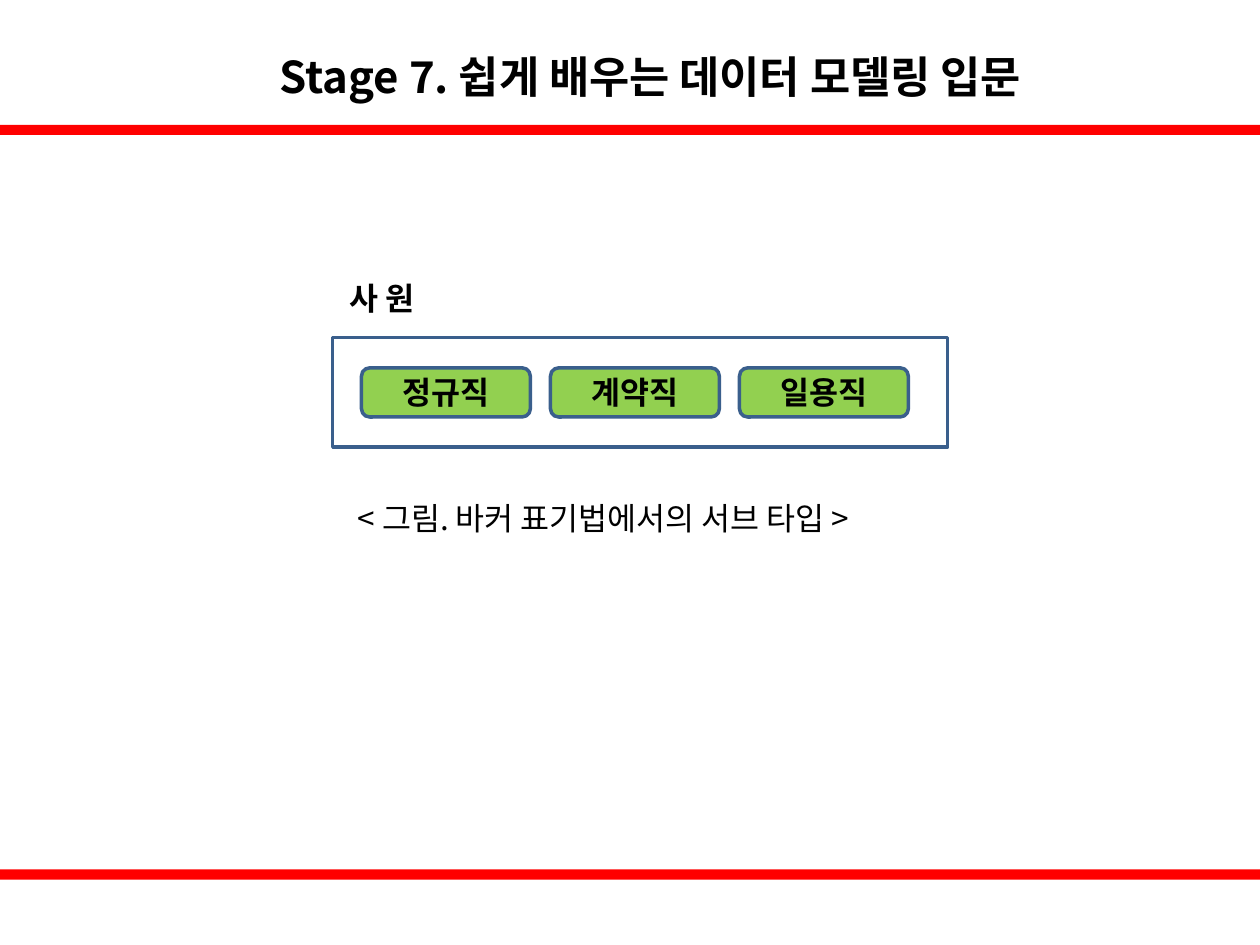
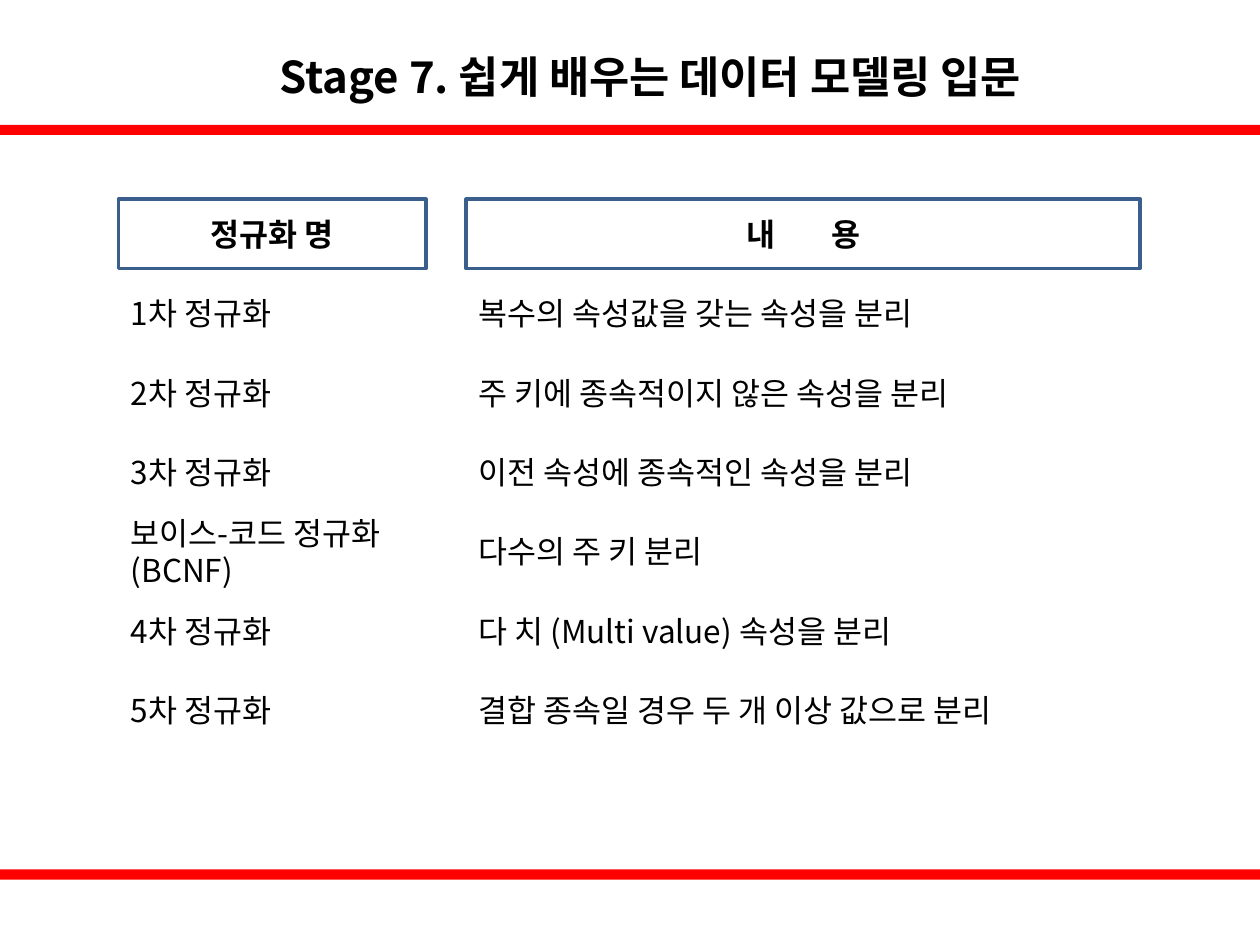
from dataclasses import dataclass
from typing import NamedTuple, Optional

from lxml import etree
from pptx import Presentation
from pptx.dml.color import RGBColor
from pptx.enum import shapes, text
from pptx.oxml.ns import qn
from pptx.util import Pt


@dataclass(frozen=True)
class Theme:
    font: str = "Noto Sans CJK KR"
    ink: RGBColor = RGBColor(0x00, 0x00, 0x00)
    band: RGBColor = RGBColor(0xFF, 0x00, 0x00)
    outline: RGBColor = RGBColor(0x3A, 0x5F, 0x8C)
    subtype: RGBColor = RGBColor(0x92, 0xD0, 0x50)
    title_size: float = 25
    body_size: float = 18
    outline_width: float = 2


class Box(NamedTuple):
    """A place on the slide, in points."""
    left: float
    top: float
    width: float
    height: float

    def lengths(self) -> tuple:
        return tuple(Pt(value) for value in self)


class Column(NamedTuple):
    left: float
    width: float
    heading: str
    letter_spacing: float
    entries: tuple


THEME = Theme()
SLIDE_WIDTH, SLIDE_HEIGHT = 720, 540
TITLE = "Stage 7. 쉽게 배우는 데이터 모델링 입문"
TITLE_BOX = Box(99.4, 0, 544.3, 71.3)
BANDS = tuple(Box(0, top, SLIDE_WIDTH, 5.8) for top in (71.3, 496.8))

ENTITY_BOX = Box(190.1, 193, 351.4, 62.6)
SUBTYPES = ("정규직", "계약직", "일용직")
FIRST_SUBTYPE = Box(206.6, 210.2, 96.5, 28.1)
SUBTYPE_PITCH = 108

TABLE_TOP, ROW_HEIGHT, ROW_PITCH = 113.8, 39.6, 45.36
COLUMNS = (
    Column(67.7, 175.7, "정규화 명", 0, (
        "1차 정규화",
        "2차 정규화",
        "3차 정규화",
        "보이스-코드 정규화\n(BCNF)",
        "4차 정규화",
        "5차 정규화",
    )),
    Column(266.4, 385.2, "내 용", 14, (
        "복수의 속성값을 갖는 속성을 분리",
        "주 키에 종속적이지 않은 속성을 분리",
        "이전 속성에 종속적인 속성을 분리",
        "다수의 주 키 분리",
        "다 치 (Multi value) 속성을 분리",
        "결합 종속일 경우 두 개 이상 값으로 분리",
    )),
)


def add_run(paragraph, content: str, size: float, bold: bool,
            letter_spacing: float = 0) -> None:
    run = paragraph.add_run()
    run.text = content
    font = run.font
    font.name, font.size, font.bold = THEME.font, Pt(size), bold
    font.color.rgb = THEME.ink
    properties = run._r.get_or_add_rPr()
    etree.SubElement(properties, qn("a:ea"), typeface=THEME.font)
    if letter_spacing:
        properties.set("spc", str(round(letter_spacing * 100)))


def write_text(shape, content: str, *, size: float = THEME.body_size,
               bold: bool = False, centered: bool = False,
               line_spacing: Optional[float] = None, wrap: bool = True,
               anchor=text.MSO_ANCHOR.MIDDLE, letter_spacing: float = 0) -> None:
    """Fill a shape with one paragraph a line; spacing leaves out the last letter."""
    frame = shape.text_frame
    frame.word_wrap = wrap
    frame.vertical_anchor = anchor
    if not wrap:
        frame.auto_size = text.MSO_AUTO_SIZE.SHAPE_TO_FIT_TEXT
    for index, line in enumerate(content.split("\n")):
        paragraph = frame.add_paragraph() if index else frame.paragraphs[0]
        paragraph.alignment = text.PP_ALIGN.CENTER if centered else text.PP_ALIGN.LEFT
        if line_spacing:
            paragraph.line_spacing = line_spacing
        if letter_spacing:
            add_run(paragraph, line[:-1], size, bold, letter_spacing)
            add_run(paragraph, line[-1], size, bold)
        else:
            add_run(paragraph, line, size, bold)


def add_text(slide, box: Box, content: str, **text_format) -> None:
    write_text(slide.shapes.add_textbox(*box.lengths()), content, **text_format)


def add_block(slide, box: Box, *, kind=shapes.MSO_SHAPE.RECTANGLE,
              fill: Optional[RGBColor] = None, outlined: bool = True):
    shape = slide.shapes.add_shape(kind, *box.lengths())
    shape.shadow.inherit = False
    if fill is None:
        shape.fill.background()
    else:
        shape.fill.solid()
        shape.fill.fore_color.rgb = fill
    if outlined:
        shape.line.color.rgb = THEME.outline
        shape.line.width = Pt(THEME.outline_width)
    else:
        shape.line.fill.background()
    return shape


def add_stage_slide(presentation):
    """Add a blank slide with the red bands and the stage title."""
    slide = presentation.slides.add_slide(presentation.slide_layouts[6])
    for band in BANDS:
        add_block(slide, band, fill=THEME.band, outlined=False)
    add_text(slide, TITLE_BOX, TITLE, size=THEME.title_size, bold=True,
             centered=True, line_spacing=1.5)
    return slide


def build_subtype_slide(presentation) -> None:
    slide = add_stage_slide(presentation)
    add_text(slide, Box(178.6, 153.4, 79.2, 33.8), "사 원", bold=True, centered=True)
    add_block(slide, ENTITY_BOX)
    for index, name in enumerate(SUBTYPES):
        box = FIRST_SUBTYPE._replace(left=FIRST_SUBTYPE.left + index * SUBTYPE_PITCH)
        subtype = add_block(slide, box, kind=shapes.MSO_SHAPE.ROUNDED_RECTANGLE,
                            fill=THEME.subtype)
        write_text(subtype, name, bold=True, centered=True)
    add_text(slide, Box(197.3, 281.5, 337, 28.8), "< 그림. 바커 표기법에서의 서브 타입 >",
             wrap=False, anchor=text.MSO_ANCHOR.TOP)


def build_normalization_slide(presentation) -> None:
    slide = add_stage_slide(presentation)
    for column in COLUMNS:
        heading_box = Box(column.left, TABLE_TOP, column.width, ROW_HEIGHT)
        write_text(add_block(slide, heading_box), column.heading, bold=True,
                   centered=True, letter_spacing=column.letter_spacing)
        for row, entry in enumerate(column.entries, start=1):
            add_text(slide, heading_box._replace(top=TABLE_TOP + row * ROW_PITCH), entry)


def main() -> None:
    presentation = Presentation()
    presentation.slide_width = Pt(SLIDE_WIDTH)
    presentation.slide_height = Pt(SLIDE_HEIGHT)
    build_subtype_slide(presentation)
    build_normalization_slide(presentation)
    presentation.save("out.pptx")


if __name__ == "__main__":
    main()
